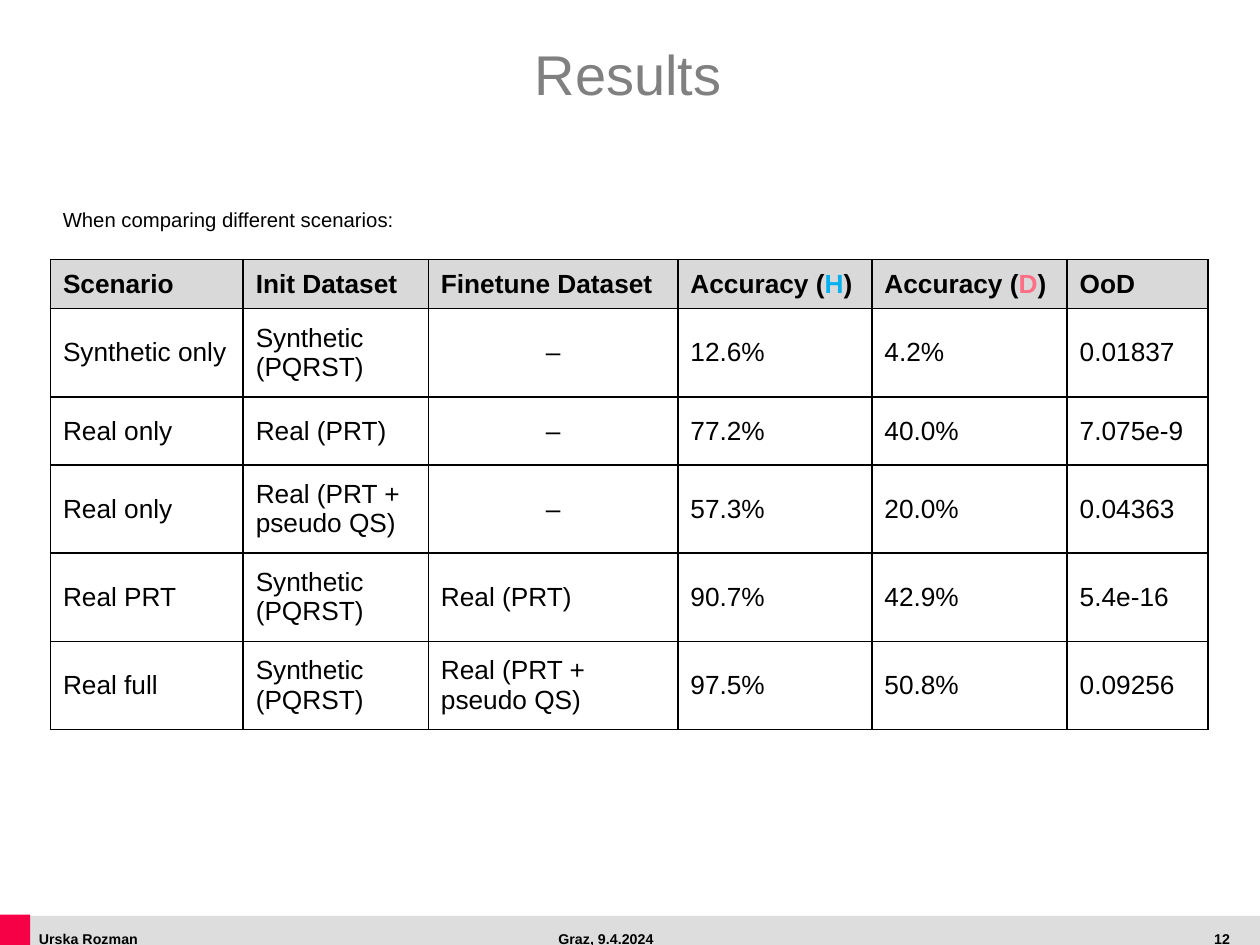
"""Build the results slide comparing training scenarios."""
from lxml import etree
from pptx import Presentation
from pptx.dml.color import RGBColor
from pptx.enum.shapes import MSO_SHAPE
from pptx.enum.text import MSO_ANCHOR, PP_ALIGN
from pptx.oxml.ns import qn
from pptx.util import Inches, Pt

LEFT, CENTER, RIGHT = PP_ALIGN.LEFT, PP_ALIGN.CENTER, PP_ALIGN.RIGHT
MIDDLE, TOP = MSO_ANCHOR.MIDDLE, MSO_ANCHOR.TOP
RECTANGLE = MSO_SHAPE.RECTANGLE

FONT = "Arial"
COLORS = {
    "text": "000000", "title": "808080", "header": "D9D9D9", "bar": "DDDDDD",
    "accent": "F70146", "blue": "00B0F0", "pink": "FF6F85",
}
BARS = [("bar", 0.02, 7.27, 9.98, 0.24), ("accent", 0, 7.26, 0.24, 0.24)]
FOOTERS = [
    ("12", RIGHT, 9.29, 0.57),
    ("Urska Rozman", LEFT, 0.21, 2.82),
    ("Graz, 9.4.2024", CENTER, 3.23, 3.16),
]
TITLE = "Results"
INTRO = "When comparing different scenarios:"
HEADER = [
    [("Scenario", "text")],
    [("Init Dataset", "text")],
    [("Finetune Dataset", "text")],
    [("Accuracy (", "text"), ("H", "blue"), (")", "text")],
    [("Accuracy (", "text"), ("D", "pink"), (")", "text")],
    [("OoD", "text")],
]
RESULTS = [
    ("Synthetic only", "Synthetic (PQRST)", "–", "12.6%", "4.2%", "0.01837"),
    ("Real only", "Real (PRT)", "–", "77.2%", "40.0%", "7.075e-9"),
    ("Real only", "Real (PRT + pseudo QS)", "–", "57.3%", "20.0%", "0.04363"),
    ("Real PRT", "Synthetic (PQRST)", "Real (PRT)", "90.7%", "42.9%", "5.4e-16"),
    ("Real full", "Synthetic (PQRST)", "Real (PRT + pseudo QS)", "97.5%", "50.8%", "0.09256"),
]
COLUMN_WIDTHS = [1.53, 1.47, 1.98, 1.54, 1.55, 1.12]
ROW_HEIGHTS = [0.39, 0.7, 0.54, 0.7, 0.7, 0.7]


def rgb(name):
    return RGBColor.from_string(COLORS[name])


def write(frame, parts, size, align=LEFT, bold=False, lowered=False):
    paragraph = frame.paragraphs[0]
    paragraph.alignment = align
    for words, color in parts:
        run = paragraph.add_run()
        run.text = words
        run.font.name = FONT
        run.font.size = Pt(size)
        run.font.bold = bold
        run.font.color.rgb = rgb(color)
        if lowered:
            run._r.get_or_add_rPr().set("baseline", "-25000")


def add_lowered_text(slide, words, box, size, align=LEFT, bold=False):
    frame = slide.shapes.add_textbox(*map(Inches, box)).text_frame
    frame.word_wrap = True
    frame.vertical_anchor = TOP
    write(frame, [(words, "text")], size, align, bold, lowered=True)


def add_borders(cell):
    properties = cell._tc.get_or_add_tcPr()
    for position, side in enumerate(("lnL", "lnR", "lnT", "lnB")):
        line = etree.Element(qn(f"a:{side}"), w=str(Pt(1)))
        fill = etree.SubElement(line, qn("a:solidFill"))
        etree.SubElement(fill, qn("a:srgbClr"), val=COLORS["text"])
        properties.insert(position, line)


def add_results_table(slide):
    rows = [HEADER] + [[[(words, "text")] for words in result] for result in RESULTS]
    table = slide.shapes.add_table(
        len(rows), len(HEADER), Inches(0.4), Inches(2.06),
        Inches(sum(COLUMN_WIDTHS)), Inches(sum(ROW_HEIGHTS)),
    ).table
    for column, width in zip(table.columns, COLUMN_WIDTHS):
        column.width = Inches(width)
    for row, height in zip(table.rows, ROW_HEIGHTS):
        row.height = Inches(height)
    for r, row in enumerate(rows):
        for c, parts in enumerate(row):
            cell = table.cell(r, c)
            cell.vertical_anchor = MIDDLE
            if r == 0:
                cell.fill.solid()
                cell.fill.fore_color.rgb = rgb("header")
            else:
                cell.fill.background()
            align = CENTER if parts[0][0] == "–" else LEFT
            write(cell.text_frame, parts, 15, align, bold=r == 0)
            add_borders(cell)


def main():
    deck = Presentation()
    deck.slide_width, deck.slide_height = Inches(10), Inches(7.5)
    slide = deck.slides.add_slide(deck.slide_layouts[5])

    for color, *box in BARS:
        bar = slide.shapes.add_shape(RECTANGLE, *map(Inches, box))
        bar.shadow.inherit = False
        bar.fill.solid()
        bar.fill.fore_color.rgb = rgb(color)
        bar.line.fill.background()
    for words, align, left, width in FOOTERS:
        add_lowered_text(slide, words, (left, 7.2, width, 0.34), 14, align, bold=True)

    title = slide.shapes.title
    title.left, title.top, title.width, title.height = map(Inches, (0.53, 0.17, 8.91, 0.82))
    title.text_frame.vertical_anchor = MIDDLE
    write(title.text_frame, [(TITLE, "title")], 32, CENTER)

    add_results_table(slide)
    add_lowered_text(slide, INTRO, (0.4, 1.41, 7.57, 0.62), 20)
    deck.save("out.pptx")


if __name__ == "__main__":
    main()
